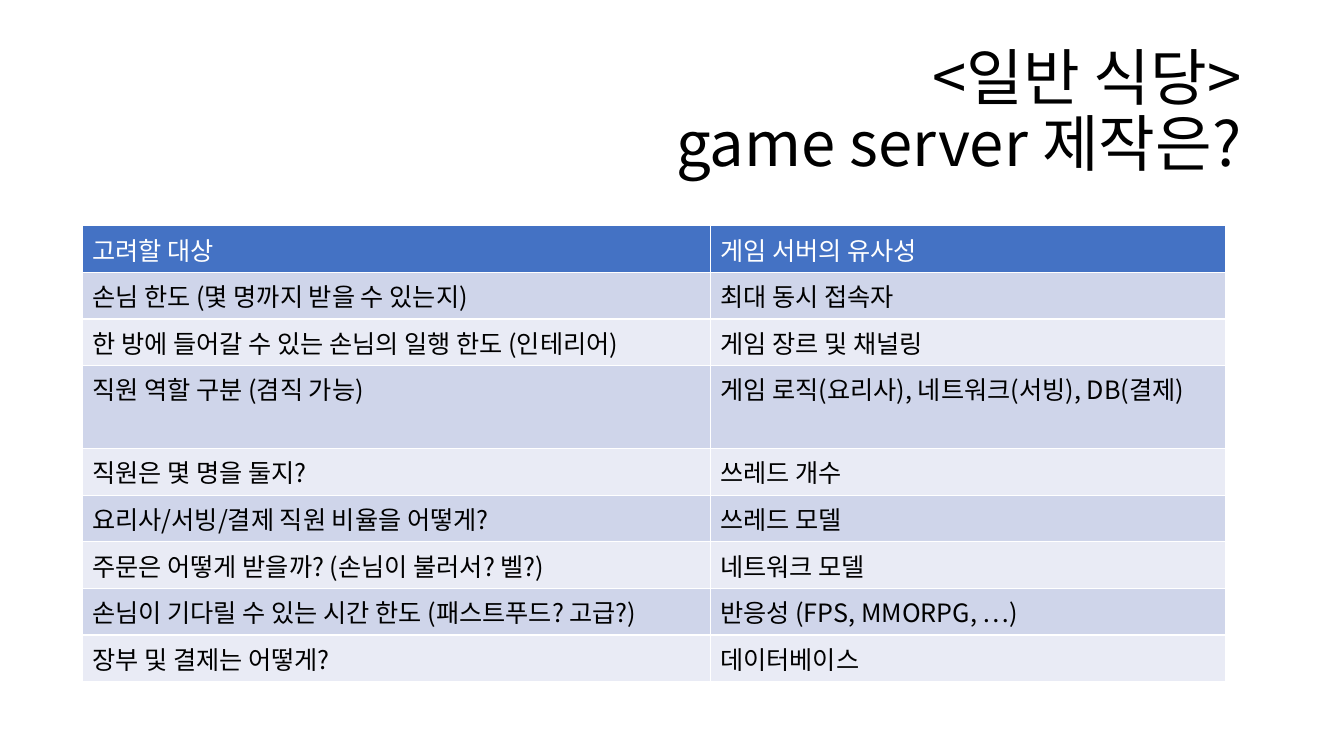
from pptx import Presentation
from pptx.dml.color import RGBColor
from pptx.enum.text import MSO_ANCHOR as Anchor, PP_ALIGN as Align
from pptx.oxml import parse_xml
from pptx.oxml.ns import nsdecls, qn
from pptx.util import Inches, Pt

BLACK = RGBColor(0x00, 0x00, 0x00)
WHITE = RGBColor(0xFF, 0xFF, 0xFF)
HEADER = RGBColor(0x44, 0x72, 0xC4)
BAND_DARK = RGBColor(0xCF, 0xD5, 0xEA)
BAND_LIGHT = RGBColor(0xE9, 0xEB, 0xF5)

ROWS = [
    ("고려할 대상", "게임 서버의 유사성"),
    ("손님 한도 (몇 명까지 받을 수 있는지)", "최대 동시 접속자"),
    ("한 방에 들어갈 수 있는 손님의 일행 한도 (인테리어)", "게임 장르 및 채널링"),
    ("직원 역할 구분 (겸직 가능)", "게임 로직(요리사), 네트워크(서빙), DB(결제)"),
    ("직원은 몇 명을 둘지?", "쓰레드 개수"),
    ("요리사/서빙/결제 직원 비율을 어떻게?", "쓰레드 모델"),
    ("주문은 어떻게 받을까? (손님이 불러서? 벨?)", "네트워크 모델"),
    ("손님이 기다릴 수 있는 시간 한도 (패스트푸드? 고급?)", "반응성 (FPS, MMORPG, …)"),
    ("장부 및 결제는 어떻게?", "데이터베이스"),
]


class Deck:
    font = "Noto Sans CJK KR"

    def __init__(self):
        self.prs = Presentation()
        self.prs.slide_width, self.prs.slide_height = Inches(13.33), Inches(7.5)
        self.s = self.prs.slides.add_slide(self.prs.slide_layouts[5])

    def x(self, percent):
        return round(self.prs.slide_width * percent / 100)

    def y(self, percent):
        return round(self.prs.slide_height * percent / 100)

    def style(self, p, size, color):
        f = p.font
        f.name, f.size, f.bold = self.font, Pt(size), False
        f.color.rgb = color
        latin = p._p.pPr.find(qn("a:defRPr")).find(qn("a:latin"))
        latin.addnext(parse_xml(f'<a:ea {nsdecls("a")} typeface="{self.font}"/>'))

    def title(self, lines, left, top, width, height):
        sp = self.s.shapes.title
        sp.left, sp.top = self.x(left), self.y(top)
        sp.width, sp.height = self.x(width), self.y(height)
        tf = sp.text_frame
        tf.word_wrap, tf.vertical_anchor = True, Anchor.MIDDLE
        tf.text = "\v".join(lines)
        p = tf.paragraphs[0]
        p.alignment, p.line_spacing = Align.RIGHT, 0.9
        self.style(p, 44, BLACK)

    def borders(self, cell):
        tc_pr = cell._tc.get_or_add_tcPr()
        for side in "LRTB":
            tc_pr.append(parse_xml(
                f'<a:ln{side} {nsdecls("a")} w="{Pt(1)}"><a:solidFill>'
                f'<a:srgbClr val="{WHITE}"/></a:solidFill></a:ln{side}>'))

    def cell(self, cell, text, fill, color):
        self.borders(cell)
        cell.fill.solid()
        cell.fill.fore_color.rgb = fill
        cell.text = text
        self.style(cell.text_frame.paragraphs[0], 18, color)

    def table(self, rows, left, top, widths, row_height):
        table = self.s.shapes.add_table(
            len(rows), len(widths), self.x(left), self.y(top),
            self.x(sum(widths)), self.y(row_height * len(rows))).table
        for column, width in zip(table.columns, widths):
            column.width = self.x(width)
        for r, texts in enumerate(rows):
            fill = BAND_DARK if r % 2 else BAND_LIGHT
            if r == 0:
                fill = HEADER
            for c, text in enumerate(texts):
                self.cell(table.cell(r, c), text, fill, BLACK if r else WHITE)


def main():
    deck = Deck()
    deck.title(["<일반 식당>", "game server 제작은?"], 6.88, 5.33, 86.25, 19.33)
    deck.table(ROWS, 6.11, 29.87, [46.73, 38.33], 5.41)
    deck.prs.save("out.pptx")


if __name__ == "__main__":
    main()
